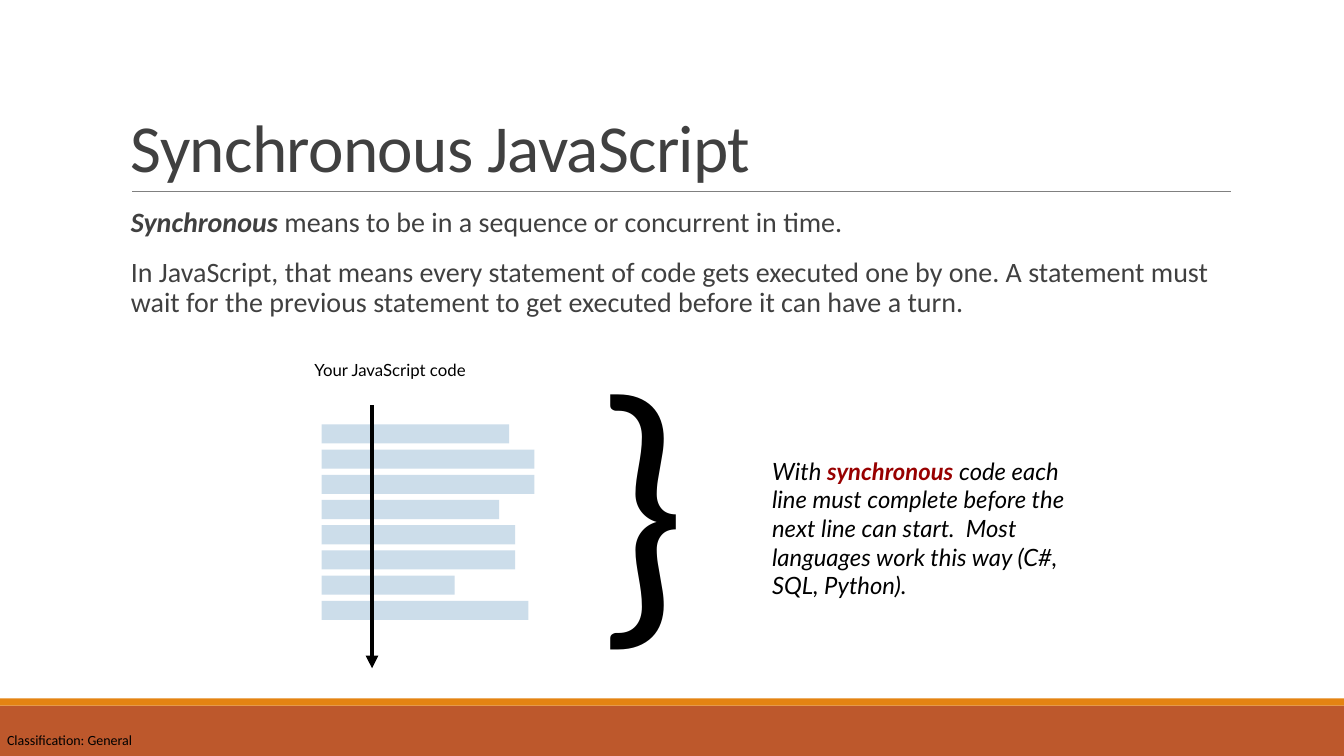
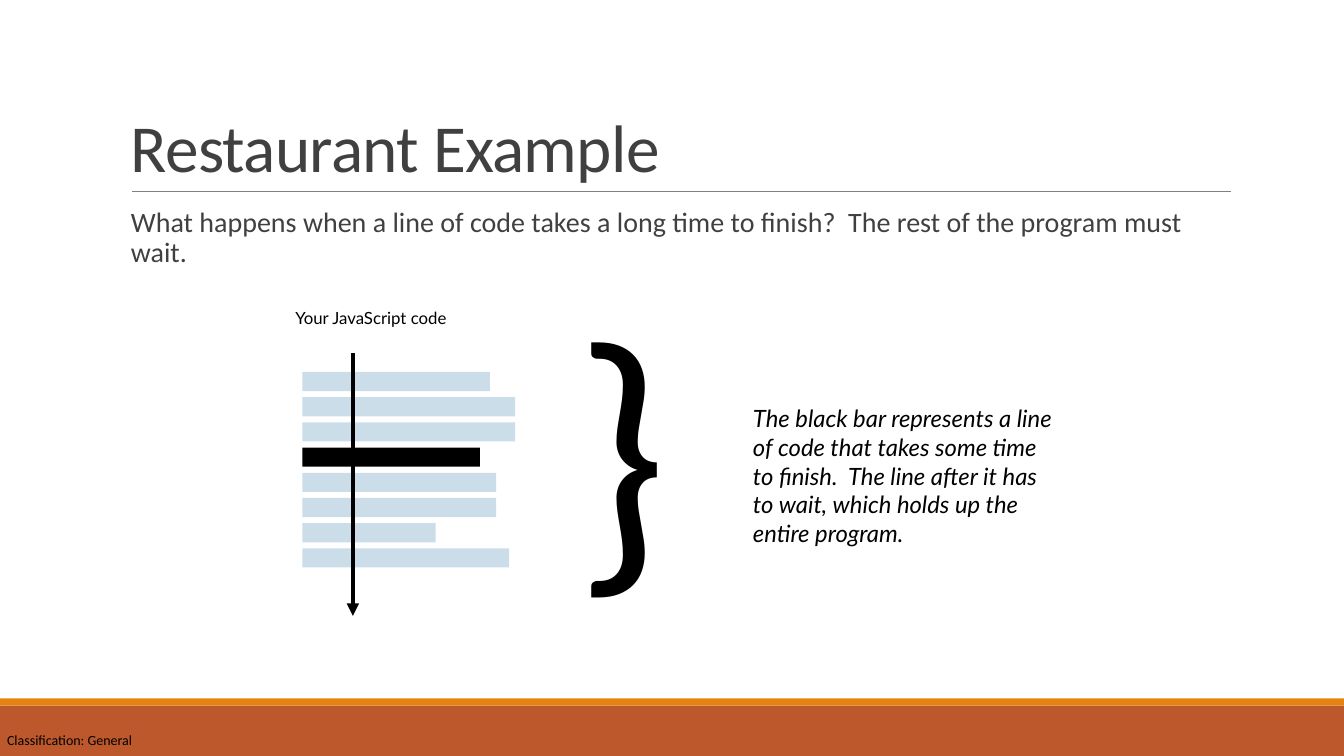
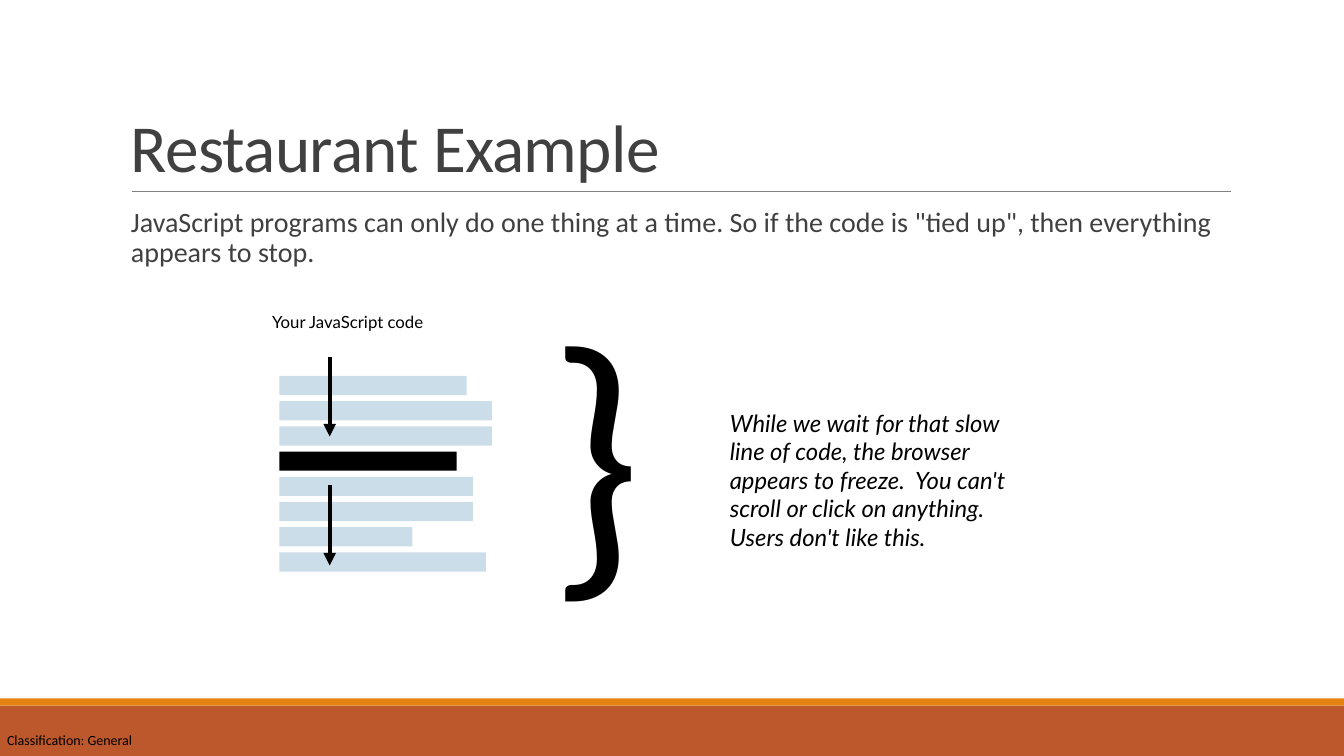
from pptx import Presentation
from pptx.dml.color import RGBColor
from pptx.enum.shapes import MSO_CONNECTOR as CONN, MSO_SHAPE as SHAPE
from pptx.enum.text import MSO_ANCHOR as ANCHOR
from pptx.oxml.ns import qn
from pptx.util import Inches, Pt
from lxml.etree import SubElement

WIDTH, HEIGHT = 13.33, 7.5
BLACK, GRAY, RULE = "000000", "404040", "808080"
RUST, ORANGE, PALE, RED = "BD582C", "E48312", "CCDDEA", "980000"
BAR_WIDTHS = [1.86, 2.11, 2.11, 1.76, 1.92, 1.92, 1.32, 2.05]
BAR_HEIGHT, BAR_STEP = 0.19, 0.25
SLOW_BAR = 3
FULL_RUN = [(-0.19, 2.42)]
SPLIT_RUN = [(-0.19, 0.6), (1.08, 1.88)]


def rgb(value):
    return RGBColor.from_string(value)


class Deck:
    """Hold the deck style and the current slide."""

    def __init__(self):
        self.prs = Presentation()
        self.prs.slide_width = Inches(WIDTH)
        self.prs.slide_height = Inches(HEIGHT)

    def slide(self, title, paragraphs):
        self.s = self.prs.slides.add_slide(self.prs.slide_layouts[6])
        self.rect(self.s.shapes, 0, 7, WIDTH, 0.5, RUST)
        self.rect(self.s.shapes, 0, 6.93, WIDTH, 0.07, ORANGE)
        self.line(1.31, 1.9, 12.21, 1.9, RULE, 0.5)
        footer = self.text(0.07, 7.26, 1.28, 0.17, ["Classification: General"],
                           10, insets=(0, 0, 0, 0))
        footer.word_wrap = False
        tf = self.text(1.2, 0.31, 11, 1.59, [title], 48, color=GRAY,
                       insets=(0.1, 0.05, 0.1, 0.05), spacing=0.85)
        tf.vertical_anchor = ANCHOR.BOTTOM
        tf.paragraphs[0].runs[0].font._rPr.set("spc", "-50")
        self.text(1.2, 2.02, 11, 4.4, paragraphs, 20, color=GRAY,
                  insets=(0.1, 0.05, 0, 0.05), spacing=0.9, after=14)

    def rect(self, shapes, x, y, w, h, fill):
        sp = shapes.add_shape(SHAPE.RECTANGLE, Inches(x), Inches(y), Inches(w), Inches(h))
        sp.shadow.inherit = False
        sp.fill.solid()
        sp.fill.fore_color.rgb = rgb(fill)
        sp.line.fill.background()

    def line(self, x1, y1, x2, y2, color, width, arrow=False):
        cn = self.s.shapes.add_connector(
            CONN.STRAIGHT, Inches(x1), Inches(y1), Inches(x2), Inches(y2))
        cn.line.color.rgb = rgb(color)
        cn.line.width = Pt(width)
        if arrow:
            SubElement(cn.line._get_or_add_ln(), qn("a:tailEnd"), type="triangle")
        SubElement(cn._element.spPr, qn("a:effectLst"))

    def text(self, x, y, w, h, paragraphs, size, font="Calibri", color=BLACK,
             italic=None, insets=(0.1, 0.1, 0.1, 0.1), spacing=None, after=0):
        tf = self.s.shapes.add_textbox(
            Inches(x), Inches(y), Inches(w), Inches(h)).text_frame
        tf.word_wrap = True
        (tf.margin_left, tf.margin_top,
         tf.margin_right, tf.margin_bottom) = map(Inches, insets)
        for i, content in enumerate(paragraphs):
            p = tf.add_paragraph() if i else tf.paragraphs[0]
            p.line_spacing = spacing
            p.space_after = Pt(after)
            p.font.size = Pt(size)
            p.font.name = font
            p.font.italic = italic
            p.font.color.rgb = rgb(color)
            for part in [content] if isinstance(content, str) else content:
                r = p.add_run()
                if isinstance(part, str):
                    r.text = part
                else:
                    r.text, accent = part
                    r.font.bold = r.font.italic = True
                    r.font.color.rgb = rgb(accent)
        return tf

    def code_diagram(self, x, y, note, arrows=FULL_RUN, slow=None, brace_dx=2.68):
        self.text(x - 0.17, y - 0.74, 2.99, 0.46, ["Your JavaScript code"], 12, "Lato")
        bars = self.s.shapes.add_group_shape().shapes
        for i, width in enumerate(BAR_WIDTHS):
            self.rect(bars, x, y + i * BAR_STEP, width, BAR_HEIGHT,
                      BLACK if i == slow else PALE)
        for start, end in arrows:
            self.line(x + 0.5, y + start, x + 0.5, y + end, BLACK, 3, arrow=True)
        self.text(x + brace_dx, y - 1.04, 0.93, 3.18, ["}"], 200, "Lato")
        self.text(x + 4.37, y + 0.22, 3.17, 1.94, [note], 17, "Lato", italic=True)


def main():
    deck = Deck()
    deck.slide("Synchronous JavaScript", [
        [("Synchronous", GRAY), " means to be in a sequence or concurrent in time."],
        "In JavaScript, that means every statement of code gets executed one by one. "
        "A statement must wait for the previous statement to get executed before it "
        "can have a turn.",
    ])
    deck.code_diagram(3.19, 4.21, [
        "With ", ("synchronous", RED),
        " code each line must complete before the next line can start.  "
        "Most languages work this way (C#, SQL, Python).",
    ])

    deck.slide("Restaurant Example", [
        "What happens when a line of code takes a long time to finish?  "
        "The rest of the program must wait.",
    ])
    deck.code_diagram(
        3, 3.69,
        "The black bar represents a line of code that takes some time to finish.  "
        "The line after it has to wait, which holds up the entire program.",
        slow=SLOW_BAR)

    deck.slide("Restaurant Example", [
        "JavaScript programs can only do one thing at a time. "
        'So if the code is "tied up", then everything appears to stop.',
    ])
    deck.code_diagram(
        2.77, 3.73,
        "While we wait for that slow line of code, the browser appears to freeze.  "
        "You can't scroll or click on anything.  Users don't like this.",
        arrows=SPLIT_RUN, slow=SLOW_BAR, brace_dx=2.65)

    deck.prs.save("out.pptx")


if __name__ == "__main__":
    main()
